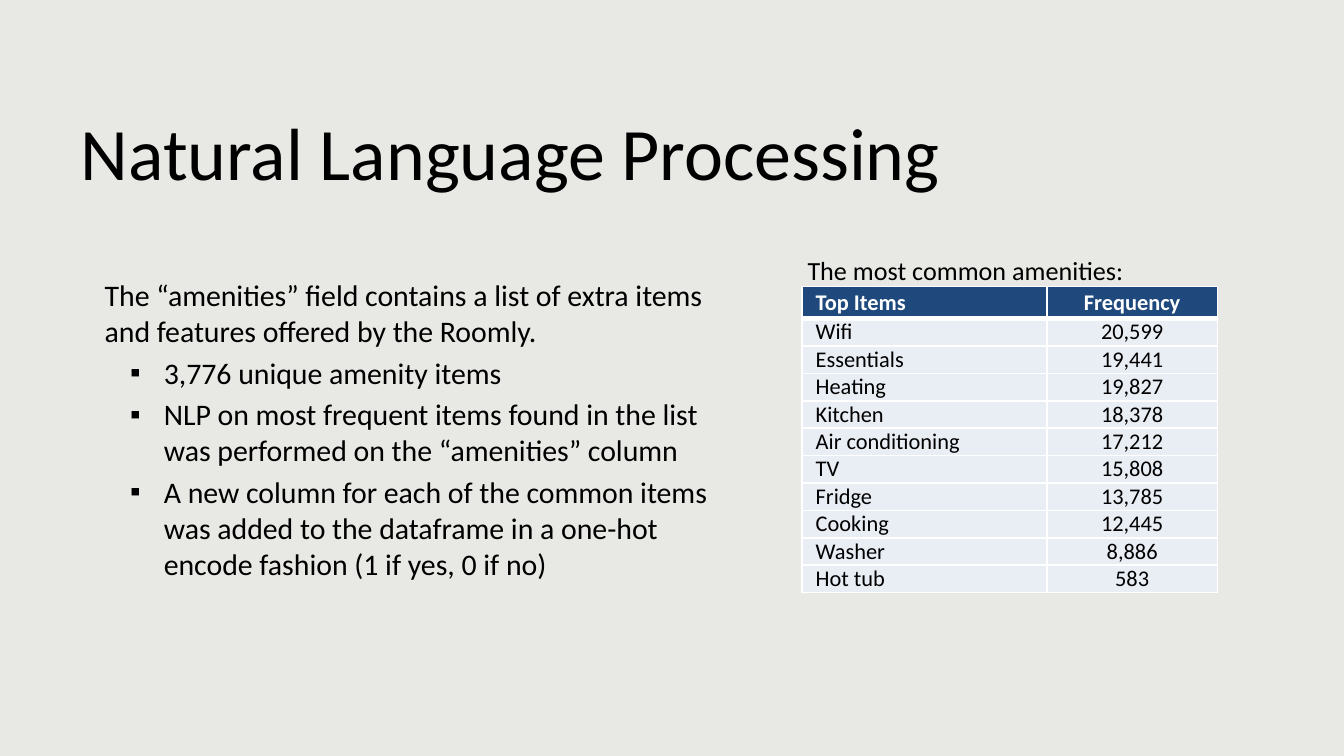
from dataclasses import dataclass
from typing import Optional

from lxml.etree import SubElement
from pptx import Presentation
from pptx.dml.color import RGBColor
from pptx.enum.text import MSO_ANCHOR, MSO_AUTO_SIZE, PP_ALIGN
from pptx.oxml.ns import qn
from pptx.util import Pt


@dataclass(frozen=True)
class Theme:
    """Colours, font and type sizes of the slide."""

    font: str = "Calibri"
    background: str = "E8E8E4"
    ink: str = "000000"
    header: str = "1F497D"
    band: str = "E9EDF4"
    white: str = "FFFFFF"
    title_size: float = 39.6
    body_size: float = 16
    caption_size: float = 14
    table_size: float = 12
    rule: float = 1
    header_rule: float = 3


@dataclass(frozen=True)
class Frame:
    """A rectangle in points."""

    left: float
    top: float
    width: float
    height: float

    def lengths(self) -> tuple:
        """Return the four measures as lengths."""
        return Pt(self.left), Pt(self.top), Pt(self.width), Pt(self.height)


@dataclass(frozen=True)
class Line:
    """A paragraph of the body text."""

    text: str
    bullet: Optional[str] = None
    space_before: float = 0


@dataclass(frozen=True)
class Amenity:
    """A row of the frequency table."""

    item: str
    frequency: str


THEME = Theme()
TITLE_FRAME = Frame(36, 55.4, 648, 50.4)
BODY_FRAME = Frame(49, 144.7, 352, 206)
CAPTION_FRAME = Frame(425.5, 132.5, 222.5, 24.5)
TABLE_FRAME = Frame(429.8, 153.5, 222.5, 164.2)
COLUMN_WIDTHS = (131, 91.5)
HEADER_HEIGHT = 17.2
BULLET_MARGIN, BULLET_INDENT = 31.7, -18

BODY = (
    Line("The “amenities” field contains a list of extra items and features offered by the Roomly."),
    Line("3,776 unique amenity items", "▪", 3.2),
    Line("NLP on most frequent items found in the list was performed on the “amenities” column", "▪", 3.2),
    Line(
        "A new column for each of the common items was added to the dataframe "
        "in a one-hot encode fashion (1 if yes, 0 if no)", "▪", 3.2,
    ),
)
HEADINGS = Amenity("Top Items", "Frequency")
AMENITIES = (
    Amenity("Wifi", "20,599"),
    Amenity("Essentials", "19,441"),
    Amenity("Heating", "19,827"),
    Amenity("Kitchen", "18,378"),
    Amenity("Air conditioning", "17,212"),
    Amenity("TV", "15,808"),
    Amenity("Fridge", "13,785"),
    Amenity("Cooking", "12,445"),
    Amenity("Washer", "8,886"),
    Amenity("Hot tub", "583"),
)


def write(para, text: str, *, size: float, color: str = THEME.ink, bold: bool = False,
          align=PP_ALIGN.LEFT, bullet: Optional[str] = None, space_before: float = 0) -> None:
    """Write formatted text into a paragraph."""
    para.alignment = align
    para.space_before = Pt(space_before)
    if bullet:
        properties = para._p.get_or_add_pPr()
        properties.set("marL", str(Pt(BULLET_MARGIN)))
        properties.set("indent", str(Pt(BULLET_INDENT)))
        SubElement(properties, qn("a:buFont"), typeface="Arial")
        SubElement(properties, qn("a:buChar"), char=bullet)
    span = para.add_run()
    span.text = text
    span.font.name = THEME.font
    span.font.size = Pt(size)
    span.font.bold = bold
    span.font.color.rgb = RGBColor.from_string(color)


def add_title(page, text: str) -> None:
    """Place and fill the title placeholder."""
    title = page.shapes.title
    title.left, title.top, title.width, title.height = TITLE_FRAME.lengths()
    title.text_frame.auto_size = MSO_AUTO_SIZE.NONE
    title.text_frame.vertical_anchor = MSO_ANCHOR.MIDDLE
    write(title.text_frame.paragraphs[0], text, size=THEME.title_size)


def add_text(page, frame: Frame, lines: tuple[Line, ...], size: float) -> None:
    """Add a wrapped text box holding the given lines."""
    box = page.shapes.add_textbox(*frame.lengths())
    box.text_frame.word_wrap = True
    for index, line in enumerate(lines):
        para = box.text_frame.add_paragraph() if index else box.text_frame.paragraphs[0]
        write(para, line.text, size=size, bullet=line.bullet, space_before=line.space_before)


def set_borders(cell, *, top: float, bottom: float) -> None:
    """Give a cell white borders."""
    properties = cell._tc.get_or_add_tcPr()
    widths = {"lnL": THEME.rule, "lnR": THEME.rule, "lnT": top, "lnB": bottom}
    for side, width in widths.items():
        border = SubElement(properties, qn(f"a:{side}"), w=str(Pt(width)))
        fill = SubElement(border, qn("a:solidFill"))
        SubElement(fill, qn("a:srgbClr"), val=THEME.white)


def fill_cell(cell, text: str, row: int, align) -> None:
    """Format one table cell and write its text."""
    header = row == 0
    cell.margin_left = cell.margin_right = Pt(7.2)
    cell.margin_top = cell.margin_bottom = Pt(0)
    cell.vertical_anchor = MSO_ANCHOR.MIDDLE
    set_borders(cell, top=THEME.header_rule if row == 1 else THEME.rule,
                bottom=THEME.header_rule if header else THEME.rule)
    cell.fill.solid()
    cell.fill.fore_color.rgb = RGBColor.from_string(THEME.header if header else THEME.band)
    write(cell.text_frame.paragraphs[0], text, size=THEME.table_size, bold=header,
          color=THEME.white if header else THEME.ink, align=align)


def add_amenity_table(page) -> None:
    """Add the table of amenity frequencies."""
    rows = (HEADINGS, *AMENITIES)
    table = page.shapes.add_table(len(rows), len(COLUMN_WIDTHS), *TABLE_FRAME.lengths()).table
    for column, width in zip(table.columns, COLUMN_WIDTHS):
        column.width = Pt(width)
    row_height = (TABLE_FRAME.height - HEADER_HEIGHT) / len(AMENITIES)
    for index, amenity in enumerate(rows):
        table.rows[index].height = Pt(row_height if index else HEADER_HEIGHT)
        fill_cell(table.cell(index, 0), amenity.item, index, PP_ALIGN.LEFT)
        fill_cell(table.cell(index, 1), amenity.frequency, index, PP_ALIGN.CENTER)


def main() -> None:
    """Build and save the deck."""
    deck = Presentation()
    deck.slide_width, deck.slide_height = Pt(720), Pt(405)
    page = deck.slides.add_slide(deck.slide_layouts.get_by_name("Title Only"))
    page.background.fill.solid()
    page.background.fill.fore_color.rgb = RGBColor.from_string(THEME.background)
    add_title(page, "Natural Language Processing")
    add_text(page, BODY_FRAME, BODY, THEME.body_size)
    add_amenity_table(page)
    add_text(page, CAPTION_FRAME, (Line("The most common amenities:"),), THEME.caption_size)
    deck.save("out.pptx")


if __name__ == "__main__":
    main()
